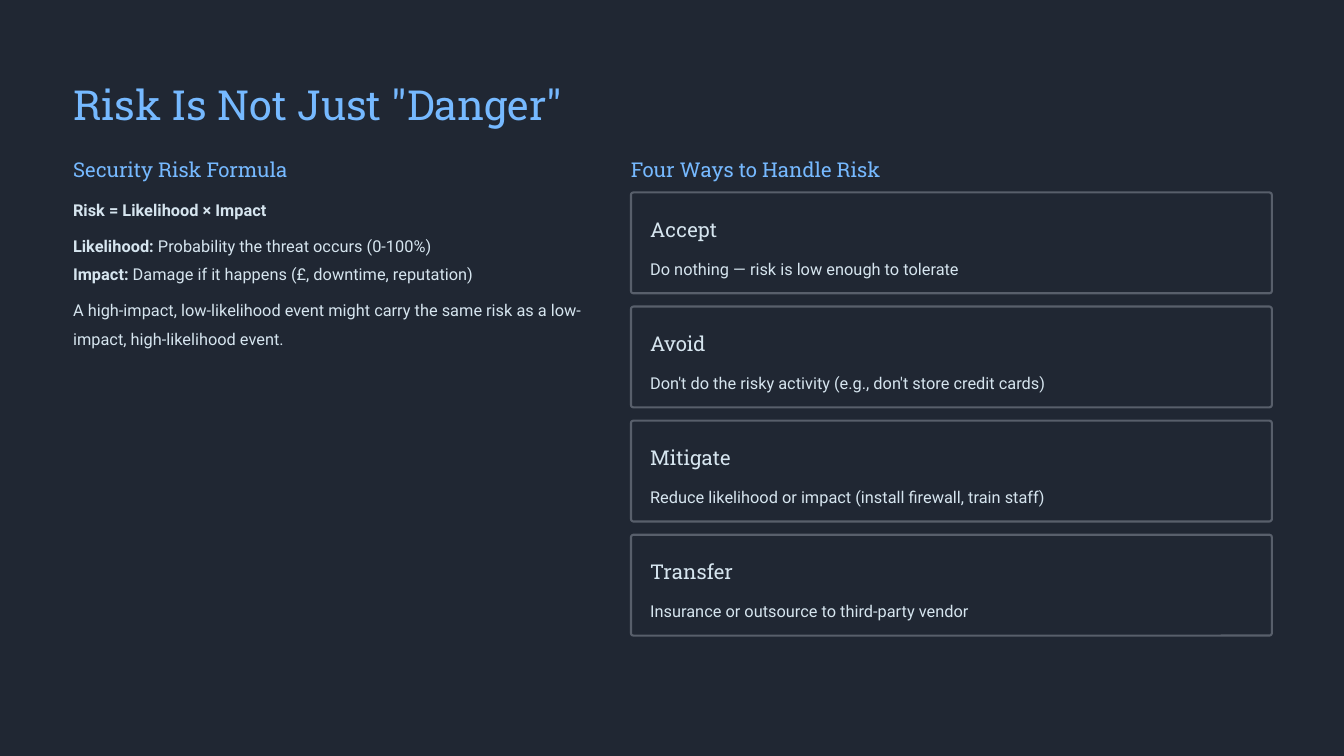
import pptx
import pptx.util
import pptx.dml.color
import pptx.enum.shapes

Cm = pptx.util.Cm
Pt = pptx.util.Pt

COLORS = {"background": "202733", "accent": "76B9FF", "text": "D6E5EF", "border": "585F6B"}
LEFT, RIGHT = 2.21, 19.08
CARD_TOP, CARD_PITCH = 5.82, 3.45
CARD_WIDTH, CARD_HEIGHT = 19.38, 3.05

FORMULA = [
    (5.77, 0.74, "Risk = Likelihood × Impact", ""),
    (6.86, 0.74, "Likelihood:", " Probability the threat occurs (0-100%)"),
    (7.72, 0.74, "Impact:", " Damage if it happens (£, downtime, reputation)"),
    (8.81, 1.45, "", "A high-impact, low-likelihood event might carry the same risk "
                     "as a low-impact, high-likelihood event."),
]
OPTIONS = [
    ("Accept", "Do nothing — risk is low enough to tolerate"),
    ("Avoid", "Don't do the risky activity (e.g., don't store credit cards)"),
    ("Mitigate", "Reduce likelihood or impact (install firewall, train staff)"),
    ("Transfer", "Insurance or outsource to third-party vendor"),
]


def rgb(name):
    return pptx.dml.color.RGBColor.from_string(COLORS[name])


def add_text(s, x, y, w, h, runs, size, font, color, spacing):
    tf = s.shapes.add_textbox(Cm(x), Cm(y), Cm(w), Cm(h)).text_frame
    tf.word_wrap = True
    tf.margin_left = tf.margin_top = tf.margin_right = tf.margin_bottom = 0
    p = tf.paragraphs[0]
    p.line_spacing = spacing
    for text, bold in runs:
        if text:
            r = p.add_run()
            r.text = text
            r.font.size = Pt(size)
            r.font.name = font
            r.font.bold = bold
            r.font.color.rgb = rgb(color)


def add_heading(s, x, y, w, text, color="accent"):
    add_text(s, x, y, w, 0.79, [(text, False)], 17.5, "Roboto Slab", color, 1.26)


def add_body(s, x, y, w, h, lead, rest):
    add_text(s, x, y, w, h, [(lead, True), (rest, False)], 14, "Roboto", "text", 1.46)


def add_card(s, y, name, detail):
    sp = s.shapes.add_shape(pptx.enum.shapes.MSO_SHAPE.ROUNDED_RECTANGLE,
                            Cm(RIGHT), Cm(y), Cm(CARD_WIDTH), Cm(CARD_HEIGHT))
    sp.adjustments[0] = 0.025
    sp.shadow.inherit = False
    sp.fill.solid()
    sp.fill.fore_color.rgb = rgb("background")
    sp.line.color.rgb = rgb("border")
    sp.line.width = Pt(1.8)
    add_heading(s, RIGHT + 0.58, y + 0.56, 6.3, name, "text")
    add_body(s, RIGHT + 0.58, y + 1.75, 18.24, 0.74, "", detail)


def main():
    prs = pptx.Presentation()
    prs.slide_width = Cm(40.64)
    prs.slide_height = Cm(22.86)
    s = prs.slides.add_slide(prs.slide_layouts[6])
    s.background.fill.solid()
    s.background.fill.fore_color.rgb = rgb("background")

    add_text(s, LEFT, 2.01, 14.86, 1.57, [('Risk Is Not Just "Danger"', False)],
             35.5, "Roboto Slab", "accent", 1.25)
    add_heading(s, LEFT, 4.57, 6.63, "Security Risk Formula")
    for y, h, lead, rest in FORMULA:
        add_body(s, LEFT, y, 15.62, h, lead, rest)

    add_heading(s, RIGHT, 4.57, 7.67, "Four Ways to Handle Risk")
    for i, (name, detail) in enumerate(OPTIONS):
        add_card(s, CARD_TOP + i * CARD_PITCH, name, detail)

    prs.save("out.pptx")


if __name__ == "__main__":
    main()
